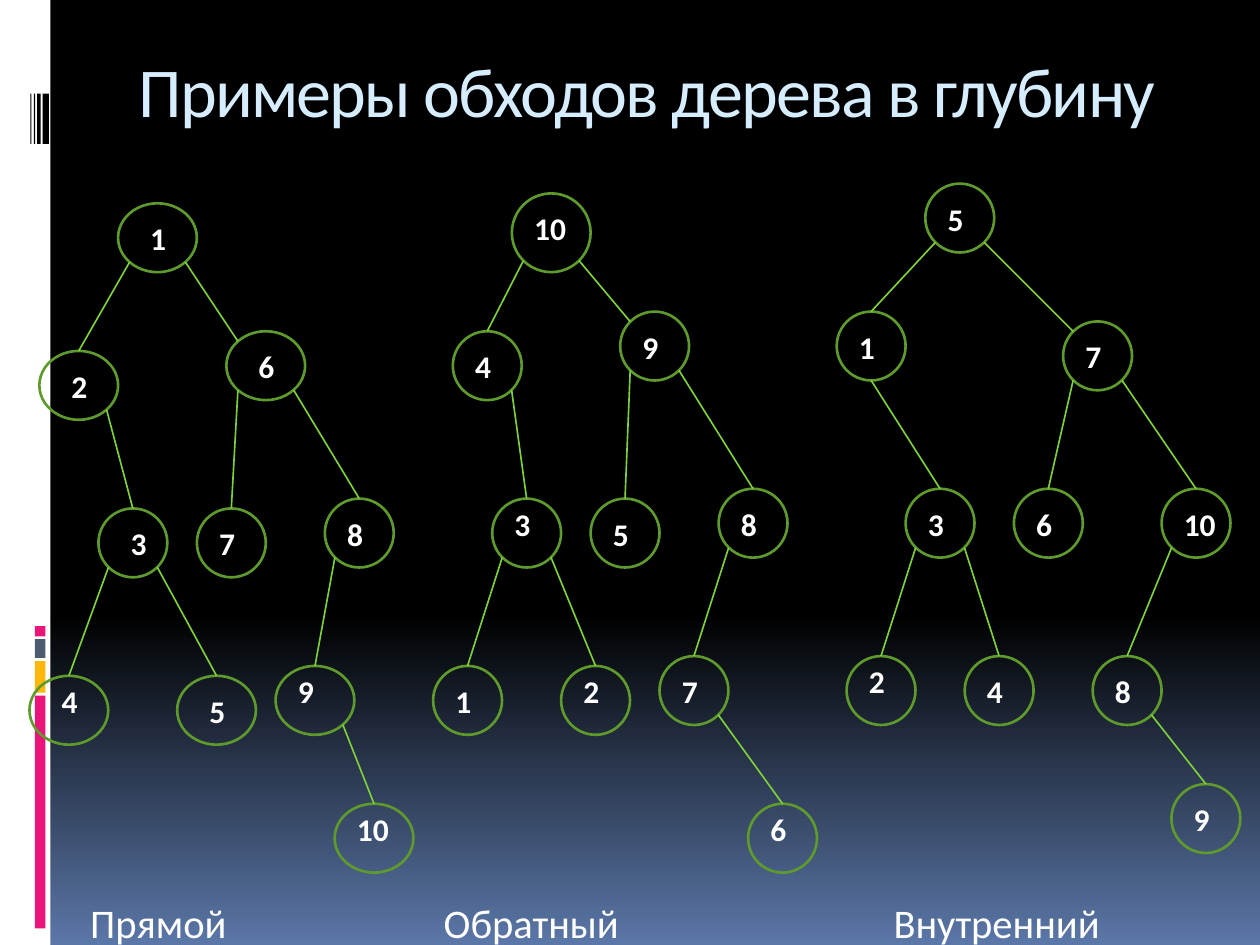
from dataclasses import dataclass
from math import sqrt

from lxml import etree
from pptx import Presentation
from pptx.dml.color import RGBColor
from pptx.enum.shapes import MSO_CONNECTOR, MSO_SHAPE
from pptx.enum.text import MSO_AUTO_SIZE
from pptx.oxml.ns import qn
from pptx.util import Pt

RECTANGLE = MSO_SHAPE.RECTANGLE
OVAL = MSO_SHAPE.OVAL
STRAIGHT = MSO_CONNECTOR.STRAIGHT


@dataclass(frozen=True)
class Theme:
    font: str = "Calibri"
    black: RGBColor = RGBColor.from_string("000000")
    white: RGBColor = RGBColor.from_string("FFFFFF")
    blue: RGBColor = RGBColor.from_string("5B77A8")
    slate: RGBColor = RGBColor.from_string("4E5B6F")
    pink: RGBColor = RGBColor.from_string("EA157A")
    amber: RGBColor = RGBColor.from_string("FEB80A")
    title: RGBColor = RGBColor.from_string("D6ECFF")
    ring: RGBColor = RGBColor.from_string("5E9B2C")
    edge: RGBColor = RGBColor.from_string("7FD13B")
    title_size: float = 40
    caption_size: float = 23.2
    label_size: float = 18


theme = Theme()
STEP = 720 / 128  # the trees sit on a grid of 128 columns
TOP_SHIFT = 0.65 * STEP

deck = Presentation()
deck.slide_width, deck.slide_height = Pt(720), Pt(540)
page = deck.slides.add_slide(deck.slide_layouts[6])

backdrop = page.background.fill
backdrop.gradient()
backdrop.gradient_angle = 270
for stop, position, color in zip(backdrop.gradient_stops, (0.65, 1),
                                 (theme.black, theme.blue)):
    stop.position = position
    stop.color.rgb = color


def add_text(left, top, width, height, text, size, color, bold=False):
    box = page.shapes.add_textbox(Pt(left), Pt(top), Pt(width), Pt(height))
    box.text_frame.word_wrap = True
    span = box.text_frame.paragraphs[0].add_run()
    span.text = text
    span.font.name = theme.font
    span.font.size = Pt(size)
    span.font.bold = bold
    span.font.color.rgb = color
    return box, span


# Side strip: left, top, width, height, colour
BARS = [
    (0, 0, 28.8, 540, theme.white),
    (20, 397.6, 6, 133, theme.pink),
    (20, 377.8, 6, 18, theme.amber),
    (20, 365.2, 6, 10.8, theme.slate),
    (20, 357.8, 6, 5.8, theme.pink),
    (24.4, 53.5, 3.6, 28.8, theme.black),
    (21.2, 53.5, 2, 28.8, theme.black),
    (19.4, 53.5, 0.8, 28.8, theme.black),
    (17.4, 53.5, 0.6, 28.8, theme.black),
]
for left, top, width, height, color in BARS:
    bar = page.shapes.add_shape(RECTANGLE, Pt(left), Pt(top), Pt(width), Pt(height))
    bar.shadow.inherit = False
    bar.fill.solid()
    bar.fill.fore_color.rgb = color
    bar.line.fill.background()

captions, _ = add_text(39.6, 509.8, 648, 32.4, "Прямой\tОбратный\tВнутренний",
                       theme.caption_size, theme.white)
captions.text_frame.margin_left = Pt(12)
caption_format = captions.text_frame.paragraphs[0]._p.get_or_add_pPr()
tabs = etree.SubElement(caption_format, qn("a:tabLst"))
for position in (202, 459):
    etree.SubElement(tabs, qn("a:tab"), pos=str(Pt(position)), algn="l")

# Label: column, row, width, height, label shift right, label shift down, parent
# (all lengths in grid steps)
PREORDER = {
    "1": (12, 20, 8, 7, 2, 1, None),
    "6": (23, 33, 8, 7, 2, 1, "1"),
    "2": (4, 35, 8, 7, 2, 1, "1"),
    "3": (10, 51, 7, 7, 2, 1, "2"),
    "7": (20, 51, 7, 7, 1, 1, "6"),
    "8": (33, 50, 7, 7, 1, 1, "6"),
    "5": (18, 68, 8, 7, 2, 1, "3"),
    "4": (3, 68, 8, 7, 2, 0, "3"),
    "9": (28, 67, 8, 7, 1, 0, "8"),
    "10": (34, 81, 8, 7, 1, 0, "9"),
}
POSTORDER = {
    "10": (52, 19, 8, 8, 1, 1, None),
    "9": (63, 31, 7, 7, 1, 1, "10"),
    "4": (46, 33, 7, 7, 1, 1, "10"),
    "3": (50, 50, 7, 7, 1, 0, "4"),
    "5": (60, 50, 7, 7, 1, 1, "9"),
    "8": (73, 49, 7, 7, 1, 1, "9"),
    "2": (57, 67, 7, 7, 1, 0, "3"),
    "1": (44, 67, 7, 7, 1, 1, "3"),
    "7": (67, 66, 7, 7, 1, 1, "8"),
    "6": (76, 81, 7, 7, 1, 0, "7"),
}
INORDER = {
    "5": (94, 18, 7, 7, 1, 1, None),
    "7": (108, 32, 7, 7, 1, 1, "5"),
    "1": (85, 31, 7, 7, 1, 1, "5"),
    "3": (92, 49, 7, 7, 1, 1, "1"),
    "6": (103, 49, 7, 7, 1, 1, "7"),
    "10": (118, 49, 7, 7, 1, 1, "7"),
    "4": (98, 66, 7, 7, 1, 1, "3"),
    "2": (86, 66, 7, 7, 1, 0, "3"),
    "8": (111, 66, 7, 7, 1, 1, "10"),
    "9": (119, 79, 7, 7, 1, 1, "8"),
}


def rim_point(node, across, down):
    """Return a point on a node's ring; across and down run from -1 to 1."""
    column, row, width, height = node[:4]
    return ((column + width / 2 * (1 + across)) * STEP,
            (row + height / 2 * (1 + down)) * STEP + TOP_SHIFT)


DIAGONAL = sqrt(0.5)
for tree in (PREORDER, POSTORDER, INORDER):
    for column, row, width, height, *_ in tree.values():
        ring = page.shapes.add_shape(OVAL, Pt(column * STEP), Pt(row * STEP + TOP_SHIFT),
                                     Pt(width * STEP), Pt(height * STEP))
        ring.shadow.inherit = False
        ring.fill.background()
        ring.line.color.rgb = theme.ring
        ring.line.width = Pt(1.5)

    for label, node in tree.items():
        if node[-1] is None:
            continue
        parent = tree[node[-1]]
        is_left = rim_point(node, 0, 0)[0] < rim_point(parent, 0, 0)[0]
        if tree is INORDER and label == "3":
            start = rim_point(parent, 0, 1)
        else:
            start = rim_point(parent, -DIAGONAL if is_left else DIAGONAL, DIAGONAL)
        if parent[-1] is None and not is_left:
            end = rim_point(node, -DIAGONAL, -DIAGONAL)
        else:
            end = rim_point(node, 0, -1)
        edge = page.shapes.add_connector(STRAIGHT, *(Pt(value) for value in start + end))
        edge.line.color.rgb = theme.edge
        edge.line.width = Pt(0.94)
        etree.SubElement(edge._element.spPr, qn("a:effectLst"))

for tree in (PREORDER, POSTORDER, INORDER):
    for label, (column, row, _, _, right, down, _) in tree.items():
        box, _ = add_text((column + right) * STEP, (row + down) * STEP + TOP_SHIFT,
                          14.4 + 9.2 * len(label), 28.8,
                          label, theme.label_size, theme.white, bold=True)
        box.text_frame.word_wrap = False
        box.text_frame.auto_size = MSO_AUTO_SIZE.SHAPE_TO_FIT_TEXT

title, title_span = add_text(72, 20.9, 612, 72, "Примеры обходов дерева в глубину",
                             theme.title_size, theme.title)
title.text_frame.margin_top = Pt(6)
title_span._r.get_or_add_rPr().set("spc", "-100")

deck.save("out.pptx")
